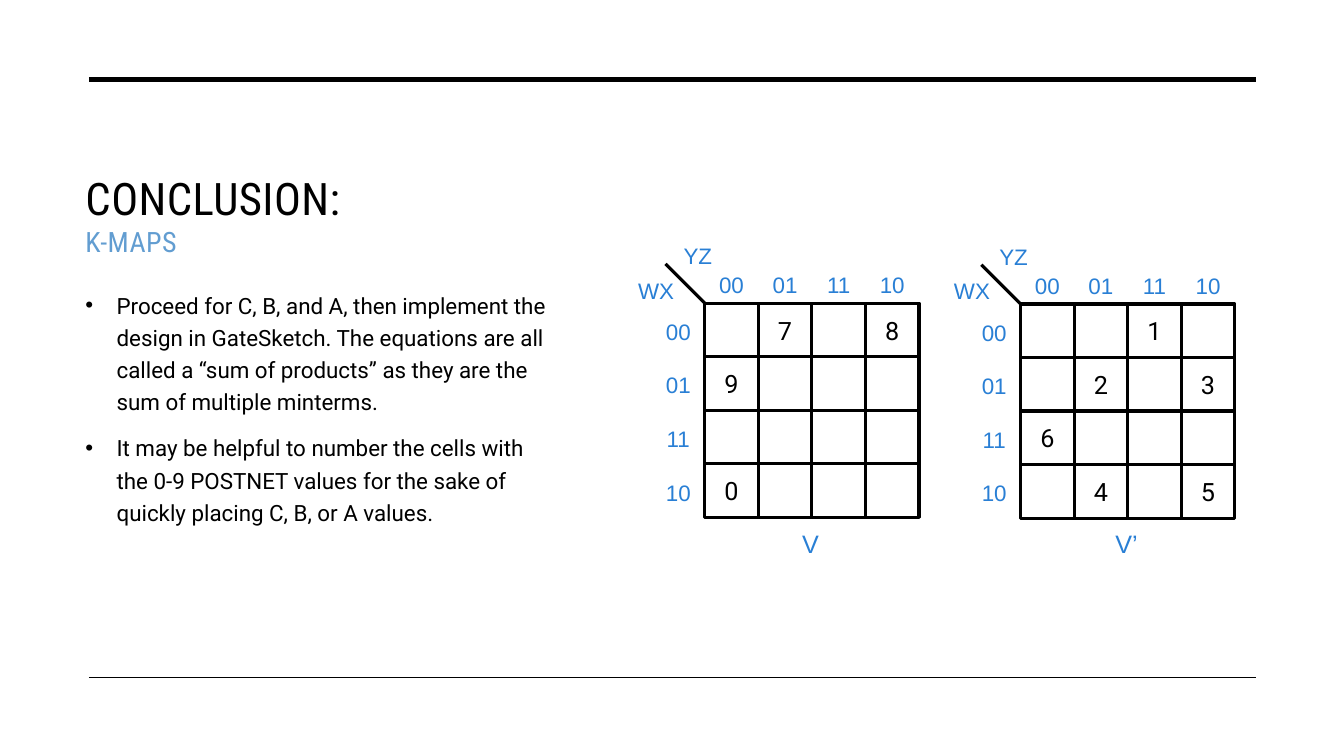
"""Build the K-maps conclusion slide with two numbered Karnaugh maps."""
from lxml.etree import SubElement
from pptx import Presentation
from pptx.dml.color import RGBColor
from pptx.enum.shapes import MSO_CONNECTOR, MSO_SHAPE
from pptx.enum.text import MSO_ANCHOR, MSO_AUTO_SIZE, PP_ALIGN
from pptx.oxml.ns import qn
from pptx.util import Cm, Pt

COLOURS = {"ink": "000000", "subtitle": "629DD1", "label": "297FD5"}
GRAY_CODE = ["00", "01", "11", "10"]
PITCH = 1.355 - 0.005
MAPS = [
    ("V", 17.76, 7.64, ["", "7", "", "8", "9", "", "", "", "", "", "", "", "0", "", "", ""]),
    ("V’", 25.72, 7.66, ["", "", "1", "", "", "2", "", "3", "6", "", "", "", "", "4", "", "5"]),
]
ADVICE = [
    "Proceed for C, B, and A, then implement the design in GateSketch. The equations "
    "are all called a “sum of products” as they are the sum of multiple minterms.",
    "It may be helpful to number the cells with the 0-9 POSTNET values for the sake "
    "of quickly placing C, B, or A values.",
]
PITCH = 1.35

deck = Presentation()
deck.slide_width, deck.slide_height = Cm(33.87), Cm(19.05)
slide = deck.slides.add_slide(deck.slide_layouts[5])


def add_line(x1, y1, x2, y2, weight):
    line = slide.shapes.add_connector(MSO_CONNECTOR.STRAIGHT, Cm(x1), Cm(y1), Cm(x2), Cm(y2))
    line.line.color.rgb = RGBColor.from_string(COLOURS["ink"])
    line.line.width = Pt(weight)
    SubElement(line._element.spPr, qn("a:effectLst"))


def add_label(text, left, top, width, size=16):
    label = slide.shapes.add_textbox(Cm(left), Cm(top), Cm(width), Cm(0.94))
    label.text_frame.word_wrap = True
    label.text_frame.auto_size = MSO_AUTO_SIZE.SHAPE_TO_FIT_TEXT
    label.text_frame.text = text
    paragraph = label.text_frame.paragraphs[0]
    paragraph.alignment = PP_ALIGN.CENTER
    paragraph.font.size = Pt(size)
    paragraph.font.name = "Arial"
    paragraph.font.color.rgb = RGBColor.from_string(COLOURS["label"])


add_line(2.24, 2.01, 31.65, 2.01, 3.5)
add_line(2.24, 17.07, 31.65, 17.07, 1)

title = slide.shapes.title
title.left, title.top, title.width, title.height = Cm(1.9), Cm(2.97), Cm(11.4), Cm(3.66)
title.text_frame.auto_size = MSO_AUTO_SIZE.NONE
title.text_frame.vertical_anchor = MSO_ANCHOR.BOTTOM
title.text_frame.text = "CONCLUSION:\vK-MAPS"
heading = title.text_frame.paragraphs[0]
heading.alignment = PP_ALIGN.LEFT
for run, size, colour in zip(heading.runs, (32, 20), ("ink", "subtitle")):
    run.font.size = Pt(size)
    run.font.name = "Roboto Condensed"
    run.font.color.rgb = RGBColor.from_string(COLOURS[colour])
    run.font._element.set("spc", "30")

advice_box = slide.shapes.add_textbox(Cm(1.9), Cm(7.09), Cm(12.34), Cm(9.22))
advice_box.text_frame.word_wrap = True
advice_box.text_frame.text = "\n".join(ADVICE)
for index, paragraph in enumerate(advice_box.text_frame.paragraphs):
    paragraph.line_spacing = 1.2
    paragraph.space_before = Pt(10 if index else 0)
    properties = paragraph._p.get_or_add_pPr()
    properties.set("marL", str(Cm(0.79)))
    properties.set("indent", str(Cm(-0.79)))
    SubElement(properties, qn("a:buFont")).set("typeface", "Arial")
    SubElement(properties, qn("a:buChar")).set("char", "•")
    paragraph.font.size = Pt(16)
    paragraph.font.name = "Roboto"
    paragraph.font.color.rgb = RGBColor.from_string(COLOURS["ink"])

for caption, left, top, digits in MAPS:
    for index, digit in enumerate(digits):
        row, column = divmod(index, 4)
        cell = slide.shapes.add_shape(
            MSO_SHAPE.RECTANGLE, Cm(left + column * PITCH), Cm(top + row * PITCH), Cm(PITCH), Cm(PITCH))
        cell.shadow.inherit = False
        cell.fill.background()
        cell.line.color.rgb = RGBColor.from_string(COLOURS["ink"])
        cell.line.width = Pt(2.25)
        if digit:
            cell.text_frame.text = digit
            cell.text_frame.vertical_anchor = MSO_ANCHOR.MIDDLE
            paragraph = cell.text_frame.paragraphs[0]
            paragraph.alignment = PP_ALIGN.CENTER
            paragraph.font.size = Pt(18)
            paragraph.font.name = "Roboto"
            paragraph.font.color.rgb = RGBColor.from_string(COLOURS["ink"])
    add_line(left, top, left - 0.99, top - 0.99, 2.25)
    add_label("WX", left - 2.24, top - 0.79, 2.03)
    add_label("YZ", left - 1.19, top - 1.66, 2.03)
    for index, code in enumerate(GRAY_CODE):
        add_label(code, left + 0.04 + index * PITCH, top - 0.93, 1.27)
        add_label(code, left - 1.3, top + 0.25 + index * PITCH, 1.27)
    add_label(caption, left + 1.44, top + 5.54, 2.46, 18)

deck.save("out.pptx")
